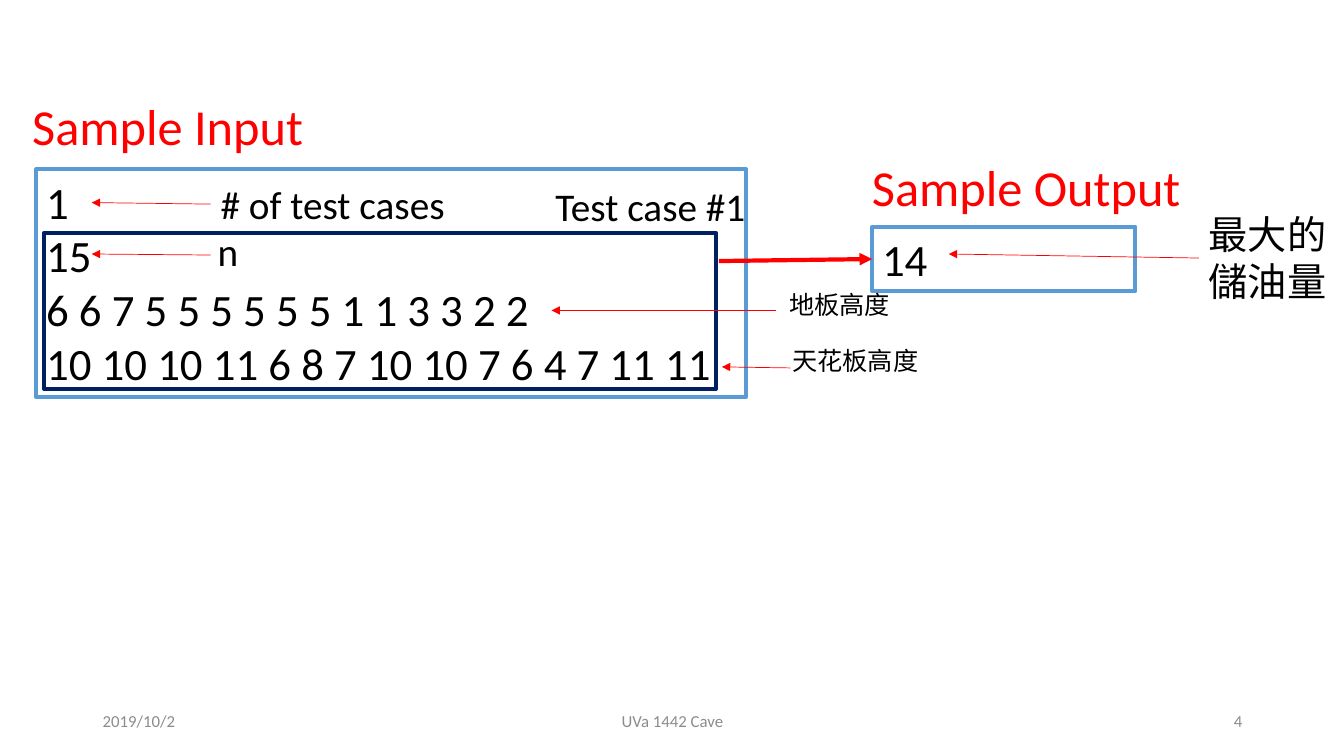
"""Build the sample input and output slide of the UVa 1442 Cave problem."""
from lxml.etree import SubElement
from pptx import Presentation
from pptx.dml.color import RGBColor
from pptx.enum.shapes import MSO_CONNECTOR, MSO_SHAPE
from pptx.enum.text import MSO_ANCHOR, PP_ALIGN
from pptx.oxml.ns import qn
from pptx.util import Inches, Pt

COLORS = {"red": "FF0000", "blue": "5B9BD5", "navy": "002060",
          "black": "000000", "gray": "8C8C8C"}
LATIN, CJK = "Calibri", "Noto Sans CJK SC"

STYLES = {
    "heading": {"size": 36, "name": LATIN, "color": "red"},
    "sample": {"size": 32, "name": LATIN, "color": "black"},
    "label": {"size": 28, "name": LATIN, "color": "black"},
    "answer": {"size": 28, "name": CJK, "color": "black"},
    "row": {"size": 18, "name": CJK, "color": "black"},
    "footer": {"size": 12, "name": LATIN, "color": "gray"},
}
BOXES = {
    "input": ((0.36, 1.68, 7.04, 2.26), "blue",
              ["1", "15", "6 6 7 5 5 5 5 5 5 1 1 3 3 2 2",
               "10 10 10 11 6 8 7 10 10 7 6 4 7 11 11"]),
    "output": ((8.65, 2.25, 2.61, 0.64), "blue", ["14"]),
    "test case": ((0.44, 2.31, 6.66, 1.55), "navy", []),
}
TEXTS = [
    ("Sample Input", (0.22, 0.89, 3.18, 0.71), "heading"),
    ("Sample Output", (8.55, 1.5, 3.54, 0.71), "heading"),
    ("# of test cases", (2.09, 1.74, 2.47, 0.57), "label"),
    ("n", (2.06, 2.21, 2.47, 0.57), "label"),
    ("Test case #1", (5.41, 1.76, 2.1, 0.57), "label"),
    ("最大的儲油量", (11.89, 2.04, 1.45, 1.04), "answer"),
    ("地板高度", (7.73, 2.82, 1.3, 0.4), "row"),
    ("天花板高度", (7.76, 3.38, 1.48, 0.4), "row"),
]
FOOTERS = [
    ("2019/10/2", 0.92, 3, PP_ALIGN.LEFT),
    ("UVa 1442 Cave", 4.42, 4.5, PP_ALIGN.CENTER),
    ("4", 9.42, 3, PP_ALIGN.RIGHT),
]
ARROWS = [
    ((2.09, 2.02), (0.91, 2.01), 0.5, "# of test cases", None),
    ((2.09, 2.53), (0.91, 2.52), 0.5, None, None),
    ((7.13, 2.59), (8.65, 2.57), 3, None, "output"),
    ((11.89, 2.56), (9.41, 2.52), 0.5, "最大的儲油量", None),
    ((7.7, 3.08), (5.47, 3.08), 0.5, None, None),
    ((7.84, 3.65), (7.16, 3.64), 0.5, None, None),
]
LEFT_SIDE = 1


def rgb(color):
    return RGBColor.from_string(COLORS[color])


def write(part, lines, style, anchor=MSO_ANCHOR.TOP, align=PP_ALIGN.LEFT):
    frame = part.text_frame
    frame_format = {"word_wrap": True, "vertical_anchor": anchor}
    for attribute, value in frame_format.items():
        setattr(frame, attribute, value)
    look = STYLES[style]
    font_format = {"size": Pt(look["size"]), "name": look["name"]}
    for index, line in enumerate(lines):
        paragraph = frame.add_paragraph() if index else frame.paragraphs[0]
        paragraph.alignment = align
        run = paragraph.add_run()
        run.text = line
        for attribute, value in font_format.items():
            setattr(run.font, attribute, value)
        run.font.color.rgb = rgb(look["color"])
        east_asian = SubElement(run.font._element, qn("a:ea"))
        east_asian.set("typeface", look["name"])


def add_text(slide, text, place, style, **layout):
    label = slide.shapes.add_textbox(*map(Inches, place))
    write(label, [text], style, **layout)
    return label


def add_box(slide, place, color, lines):
    box = slide.shapes.add_shape(MSO_SHAPE.RECTANGLE, *map(Inches, place))
    box.shadow.inherit = False
    box.fill.background()
    box.line.color.rgb = rgb(color)
    box.line.width = Pt(3)
    write(box, lines, "sample")
    return box


def add_arrow(slide, start, end, width, source, target):
    arrow = slide.shapes.add_connector(
        MSO_CONNECTOR.STRAIGHT, *map(Inches, start + end))
    if source:
        arrow.begin_connect(source, LEFT_SIDE)
    if target:
        arrow.end_connect(target, LEFT_SIDE)
    arrow.line.color.rgb = rgb("red")
    arrow.line.width = Pt(width)
    SubElement(arrow.line._get_or_add_ln(), qn("a:tailEnd")).set("type", "triangle")
    SubElement(arrow._element.spPr, qn("a:effectLst"))


def main():
    deck = Presentation()
    deck.slide_width, deck.slide_height = Inches(13.33), Inches(7.5)
    slide = deck.slides.add_slide(deck.slide_layouts[6])
    parts = {name: add_box(slide, *box) for name, box in BOXES.items()}
    for text, place, style in TEXTS:
        parts[text] = add_text(slide, text, place, style)
    for text, left, width, align in FOOTERS:
        add_text(slide, text, (left, 6.95, width, 0.4), "footer",
                 anchor=MSO_ANCHOR.MIDDLE, align=align)
    for start, end, width, source, target in ARROWS:
        add_arrow(slide, start, end, width, parts.get(source), parts.get(target))
    deck.save("out.pptx")


if __name__ == "__main__":
    main()
